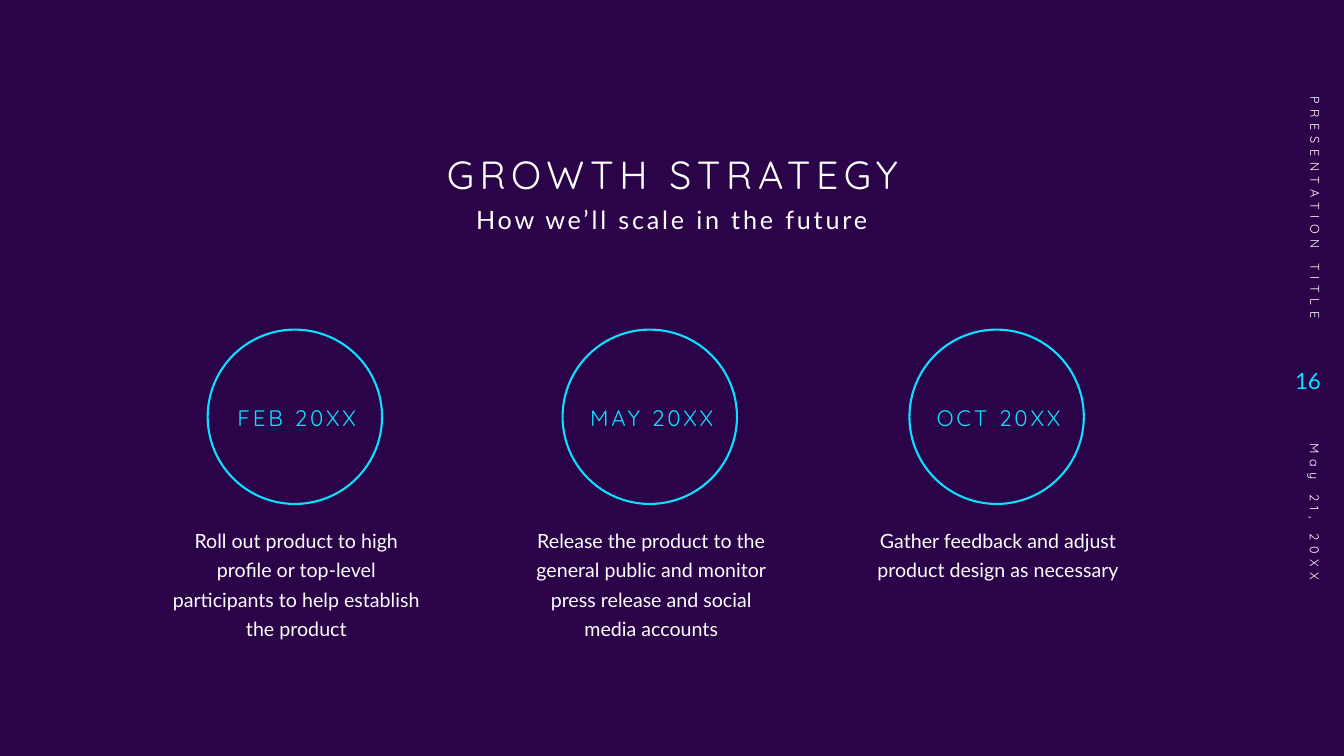
from dataclasses import dataclass

from pptx import Presentation
from pptx.dml.color import RGBColor
from pptx.enum.shapes import MSO_SHAPE
from pptx.enum.text import MSO_ANCHOR, PP_ALIGN
from pptx.slide import Slide
from pptx.util import Inches, Pt

COLORS = {"background": "2B0348", "accent": "0BE1FF", "text": "FFFFFF"}
HEADING_FONT = "Quicksand"
BODY_FONT = "Lato"
CIRCLE_TOP = 3.27
CIRCLE_SIZE = 1.73


@dataclass
class Box:
    left: float
    top: float
    width: float
    height: float


@dataclass
class Milestone:
    left: float
    date: str
    description: str


MILESTONES = [
    Milestone(2.06, "FEB 20XX",
              "Roll out product to high profile or top-level participants "
              "to help establish the product"),
    Milestone(5.58, "MAY 20XX",
              "Release the product to the general public and monitor "
              "press release and social media accounts"),
    Milestone(9.02, "OCT 20XX",
              "Gather feedback and adjust product design as necessary"),
]


def rgb(name: str) -> RGBColor:
    return RGBColor.from_string(COLORS[name])


def add_text(s: Slide, text: str, box: Box, *, size: float,
             font: str = BODY_FONT, color: str = "text",
             align: PP_ALIGN = PP_ALIGN.CENTER,
             anchor: MSO_ANCHOR = MSO_ANCHOR.TOP, spacing: float = 0,
             line_spacing: float = 1.0, rotation: float = 0) -> None:
    sp = s.shapes.add_textbox(Inches(box.left), Inches(box.top),
                              Inches(box.width), Inches(box.height))
    sp.rotation = rotation
    tf = sp.text_frame
    tf.word_wrap = True
    tf.vertical_anchor = anchor
    p = tf.paragraphs[0]
    p.alignment = align
    p.line_spacing = line_spacing
    r = p.add_run()
    r.text = text
    r.font.name = font
    r.font.size = Pt(size)
    r.font.color.rgb = rgb(color)
    if spacing:
        r._r.get_or_add_rPr().set("spc", str(round(spacing * 100)))


def add_milestone(s: Slide, milestone: Milestone) -> None:
    sp = s.shapes.add_shape(MSO_SHAPE.OVAL, Inches(milestone.left),
                            Inches(CIRCLE_TOP), Inches(CIRCLE_SIZE),
                            Inches(CIRCLE_SIZE))
    sp.shadow.inherit = False
    sp.fill.background()
    sp.line.color.rgb = rgb("accent")
    sp.line.width = Pt(1.5)
    add_text(s, milestone.date, Box(milestone.left - 0.05, 3.57, 1.87, 1.15),
             size=16, font=HEADING_FONT, color="accent",
             anchor=MSO_ANCHOR.MIDDLE, spacing=2)
    add_text(s, milestone.description,
             Box(milestone.left - 0.45, 5.14, 2.66, 1.26),
             size=14, line_spacing=1.25)


def add_side_label(s: Slide, text: str, box: Box, align: PP_ALIGN) -> None:
    add_text(s, text, box, size=9, font=HEADING_FONT, align=align,
             anchor=MSO_ANCHOR.MIDDLE, spacing=4, rotation=90)


def main() -> None:
    prs = Presentation()
    prs.slide_width = Inches(13.33)
    prs.slide_height = Inches(7.5)
    s = prs.slides.add_slide(prs.slide_layouts[6])
    s.background.fill.solid()
    s.background.fill.fore_color.rgb = rgb("background")

    add_text(s, "GROWTH STRATEGY", Box(3.6, 1.27, 6.14, 0.74), size=28,
             font=HEADING_FONT, anchor=MSO_ANCHOR.BOTTOM, spacing=4,
             line_spacing=0.9)
    add_text(s, "How we’ll scale in the future", Box(3.85, 2.01, 5.63, 0.79),
             size=18, spacing=2, line_spacing=0.9)
    for milestone in MILESTONES:
        add_milestone(s, milestone)

    add_side_label(s, "PRESENTATION TITLE", Box(11.53, 1.54, 3.03, 0.4),
                   PP_ALIGN.RIGHT)
    add_text(s, "16", Box(12.6, 3.46, 0.6, 0.63), size=16, color="accent",
             align=PP_ALIGN.RIGHT, anchor=MSO_ANCHOR.MIDDLE)
    add_side_label(s, "May 21, 20XX", Box(11.59, 5.55, 2.9, 0.4),
                   PP_ALIGN.LEFT)

    prs.save("out.pptx")


if __name__ == "__main__":
    main()
